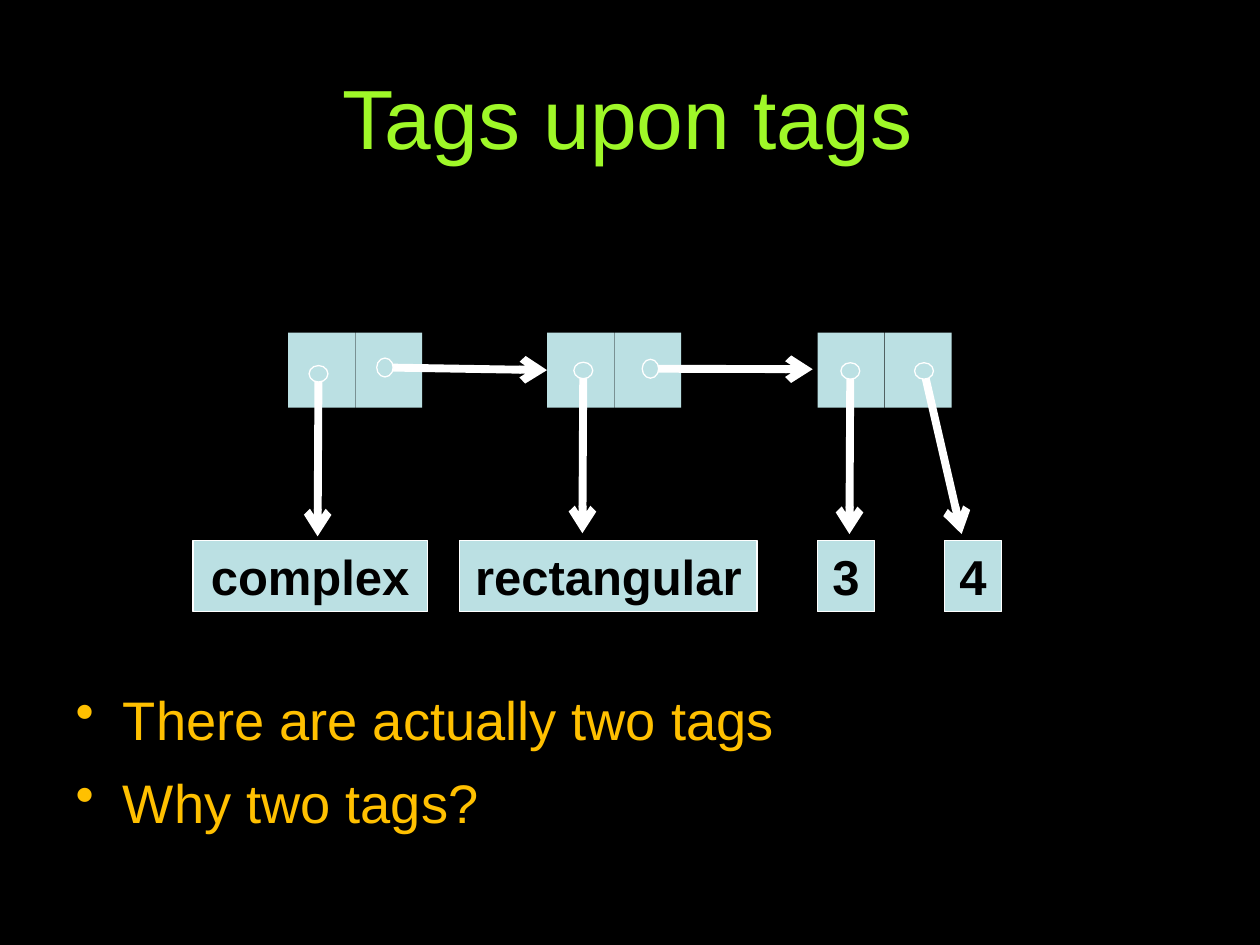
import pptx
import pptx.dml.color
import pptx.enum.shapes
import pptx.enum.text
import pptx.util
import lxml.etree
import pptx.oxml.ns

Pt = pptx.util.Pt
RGBColor = pptx.dml.color.RGBColor
SHAPE = pptx.enum.shapes.MSO_SHAPE
ALIGN = pptx.enum.text.PP_ALIGN
ANCHOR = pptx.enum.text.MSO_ANCHOR
qn = pptx.oxml.ns.qn

BLACK = RGBColor(0x00, 0x00, 0x00)
WHITE = RGBColor(0xFF, 0xFF, 0xFF)
GREEN = RGBColor(0x9F, 0xF8, 0x28)
AMBER = RGBColor(0xFF, 0xC0, 0x00)
PALE_BLUE = RGBColor(0xBB, 0xE0, 0xE3)

deck = pptx.Presentation()
deck.slide_width, deck.slide_height = Pt(720), Pt(540)
page = deck.slides.add_slide(deck.slide_layouts[6])
page.background.fill.solid()
page.background.fill.fore_color.rgb = BLACK


def write(box, text, *, size, color, bold=False, align=ALIGN.CENTER,
          anchor=ANCHOR.MIDDLE, margins=(7.2, 3.6, 7.2, 3.6), gap=0, bullet=None):
    """Fill box with one paragraph per line of text; margins are left, top, right, bottom."""
    frame = box.text_frame
    frame.word_wrap = True
    frame.vertical_anchor = anchor
    (frame.margin_left, frame.margin_top,
     frame.margin_right, frame.margin_bottom) = map(Pt, margins)
    for index, line in enumerate(text.split("\n")):
        para = frame.add_paragraph() if index else frame.paragraphs[0]
        para.alignment = align
        para.space_before = Pt(gap if index else 0)
        span = para.add_run()
        span.text = line
        span.font.name, span.font.size = "Arial", Pt(size)
        span.font.bold, span.font.color.rgb = bold, color
        if bullet:
            properties = para._p.get_or_add_pPr()
            properties.set("marL", str(Pt(30)))
            properties.set("indent", str(Pt(-27)))
            mark = lxml.etree.SubElement(properties, qn("a:buChar"))
            mark.set("char", bullet)


def add_block(kind, left, top, width, height, outlined=True):
    block = page.shapes.add_shape(kind, Pt(left), Pt(top), Pt(width), Pt(height))
    block.shadow.inherit = False
    block.fill.solid()
    block.fill.fore_color.rgb = PALE_BLUE
    if outlined:
        block.line.color.rgb, block.line.width = WHITE, Pt(0.75)
    else:
        block.line.fill.background()
    return block


title = page.shapes.add_textbox(Pt(36), Pt(5), Pt(648), Pt(123))
write(title, "Tags upon tags", size=48, color=GREEN, margins=(4.3, 4.3, 7.2, 4.3))

body = page.shapes.add_textbox(Pt(36), Pt(384.5), Pt(648), Pt(96))
write(body, "There are actually two tags\nWhy two tags?", size=31, color=AMBER,
      align=ALIGN.LEFT, anchor=ANCHOR.TOP, margins=(4.3, 7.5, 7.2, 4.3),
      gap=10.5, bullet="•")

# Three cons pairs of two cells each
CELL_WIDTH, CELL_STEP = 38.2, 38.5
pairs = [[add_block(SHAPE.RECTANGLE, left + side * CELL_STEP, 190, CELL_WIDTH, 43,
                    outlined=False) for side in range(2)]
         for left in (164.6, 312.6, 467.2)]

# Pointers: start, end, circle size, cell whose left side is joined
ACROSS, DOWN = (9.4, 10.8), (10.8, 9.4)
pointers = [
    ((220, 210), (312.6, 211.5), ACROSS, pairs[1][0]),
    ((371.7, 210.7), (464.4, 211), ACROSS, None),
    ((182, 213.6), (181.5, 306.5), DOWN, None),
    ((333.3, 211.7), (332.8, 304.7), DOWN, None),
    ((485.9, 212), (485.4, 305.2), DOWN, None),
    ((528, 212), (549.5, 305.2), DOWN, None),
]
for start, end, (width, height), target in pointers:
    arrow = page.shapes.add_connector(pptx.enum.shapes.MSO_CONNECTOR.STRAIGHT,
                                      *map(Pt, start + end))
    if target:
        arrow.end_connect(target, 1)
    arrow.line.color.rgb, arrow.line.width = WHITE, Pt(4.5)
    head = lxml.etree.SubElement(arrow.line._get_or_add_ln(), qn("a:tailEnd"))
    head.set("type", "arrow")
    lxml.etree.SubElement(arrow._element.spPr, qn("a:effectLst"))
    add_block(SHAPE.OVAL, start[0] - width / 2, start[1] - height / 2, width, height)

for label, left, width in (("complex", 110.2, 134), ("rectangular", 262.6, 170),
                           ("3", 467.2, 32.6), ("4", 539.7, 32.6)):
    value = add_block(SHAPE.RECTANGLE, left, 308.7, width, 41)
    write(value, label, size=28, color=BLACK, bold=True)

deck.save("out.pptx")
